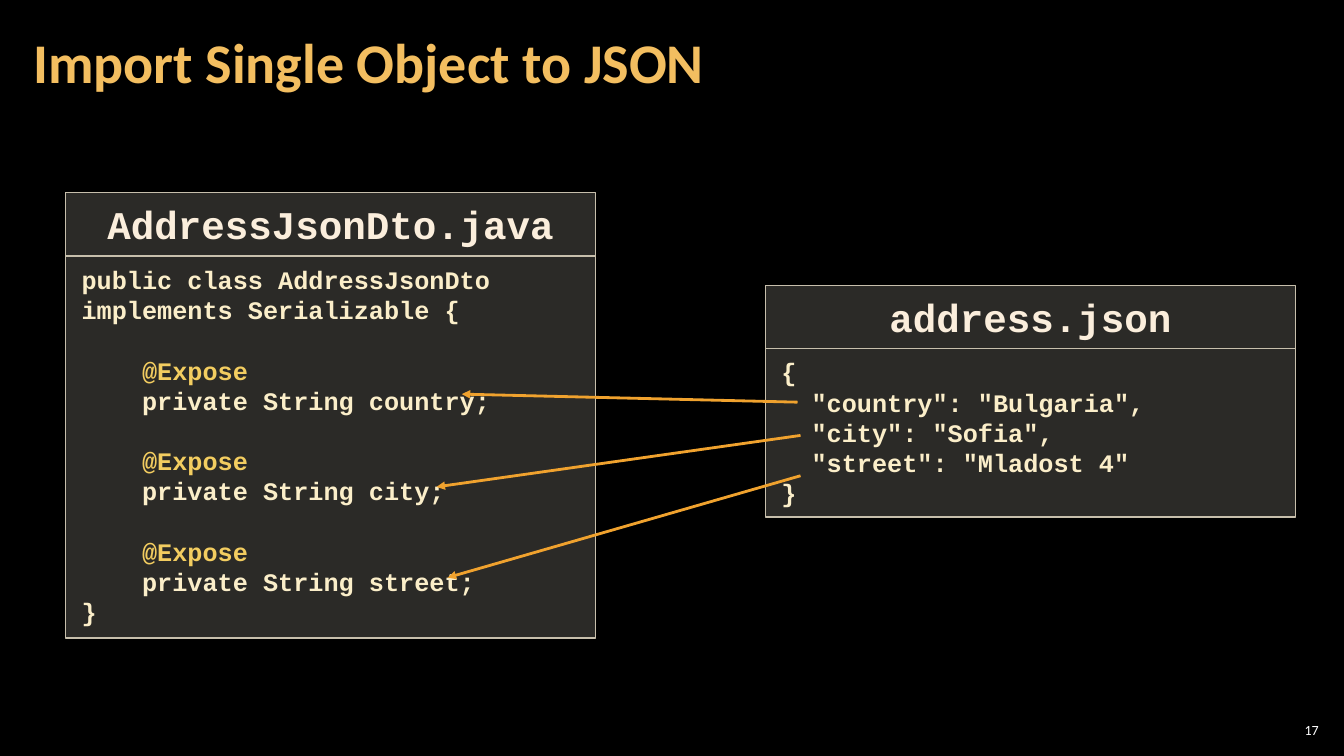
from dataclasses import dataclass

from lxml import etree
from pptx import Presentation
from pptx.dml.color import RGBColor
from pptx.enum.shapes import MSO_CONNECTOR, MSO_SHAPE
from pptx.enum.text import MSO_ANCHOR, MSO_AUTO_SIZE, PP_ALIGN
from pptx.oxml.ns import qn
from pptx.util import Emu, Pt

EMU_PER_PX = 9144  # 100 px to the inch
RECTANGLE = MSO_SHAPE.RECTANGLE
STRAIGHT = MSO_CONNECTOR.STRAIGHT
TOP, MIDDLE = MSO_ANCHOR.TOP, MSO_ANCHOR.MIDDLE
LEFT, CENTER, RIGHT = PP_ALIGN.LEFT, PP_ALIGN.CENTER, PP_ALIGN.RIGHT
NO_AUTOFIT = MSO_AUTO_SIZE.NONE
TITLE_ONLY_LAYOUT = 5

BLACK = RGBColor(0x00, 0x00, 0x00)
WHITE = RGBColor(0xFF, 0xFF, 0xFF)
TITLE_GOLD = RGBColor(0xF3, 0xBE, 0x60)
PANEL_FILL = RGBColor(0xD9, 0xD5, 0xC7)
PANEL_LINE = RGBColor(0xC7, 0xBF, 0xAC)
HEADER_CREAM = RGBColor(0xFB, 0xEE, 0xDC)
CODE_CREAM = RGBColor(0xFB, 0xEE, 0xC9)
ANNOTATION_GOLD = RGBColor(0xF3, 0xCD, 0x60)
ARROW_ORANGE = RGBColor(0xF0, 0xA2, 0x2E)

TEXT_FONT, CODE_FONT = "Calibri", "Courier New"
CODE_LINE_PT = 21.6
CHAR_PX = 15  # width of one code character
HEADER_HEIGHT = 63
PANEL_WIDTH = 526
PANEL_OPACITY = "20000"


@dataclass(frozen=True)
class Line:
    text: str
    indent: int = 0  # characters
    color: RGBColor = CODE_CREAM
    gap: float = 0  # points above


@dataclass(frozen=True)
class CodePanel:
    name: str
    left: int
    top: int
    code_height: int
    lines: tuple[Line, ...]


@dataclass(frozen=True)
class Mapping:
    """An arrow from a JSON key to the field it fills."""
    key: tuple[int, int]
    field: tuple[int, int]


def exposed(field: str) -> tuple[Line, Line]:
    return (Line("@Expose", 4, ANNOTATION_GOLD, CODE_LINE_PT),
            Line(f"private String {field};", 4))


PANELS = (
    CodePanel("AddressJsonDto.java", 65, 191, 379, (
        Line("public class AddressJsonDto implements Serializable {"),
        *exposed("country"), *exposed("city"), *exposed("street"),
        Line("}"))),
    CodePanel("address.json", 759, 283, 167, (
        Line("{"),
        Line('"country": "Bulgaria",', 2),
        Line('"city": "Sofia",', 2),
        Line('"street": "Mladost 4"', 2),
        Line("}"))),
)

MAPPINGS = (
    Mapping((791, 399), (458, 391)),
    Mapping((794, 432), (433, 483)),
    Mapping((794, 472), (444, 573)),
)


def px(length: int) -> Emu:
    return Emu(length * EMU_PER_PX)


def write(shape, lines, *, size, font=TEXT_FONT, bold=False, align=LEFT,
          anchor=TOP, spacing=1.0, inset=(4, 4)) -> None:
    frame = shape.text_frame
    frame.word_wrap = True
    frame.auto_size = NO_AUTOFIT
    frame.vertical_anchor = anchor
    frame.margin_left = frame.margin_right = px(inset[0])
    frame.margin_top = frame.margin_bottom = px(inset[1])
    for index, line in enumerate(lines):
        paragraph = frame.add_paragraph() if index else frame.paragraphs[0]
        paragraph.alignment = align
        paragraph.line_spacing = spacing
        paragraph.space_before = Pt(line.gap)
        if line.indent:
            margin = px(line.indent * CHAR_PX)
            paragraph._p.get_or_add_pPr().set("marL", str(int(margin)))
        run = paragraph.add_run()
        run.text = line.text
        run.font.size = Pt(size)
        run.font.name = font
        run.font.bold = bold
        run.font.color.rgb = line.color


def add_box(slide, left: int, top: int, height: int):
    box = slide.shapes.add_shape(
        RECTANGLE, px(left), px(top), px(PANEL_WIDTH), px(height))
    box.shadow.inherit = False
    box.fill.solid()
    box.fill.fore_color.rgb = PANEL_FILL
    color = box._element.spPr.find(qn("a:solidFill"))[0]
    etree.SubElement(color, qn("a:alpha")).set("val", PANEL_OPACITY)
    box.line.color.rgb = PANEL_LINE
    box.line.width = Pt(1)
    return box


def add_panel(slide, panel: CodePanel) -> None:
    code = add_box(slide, panel.left, panel.top + HEADER_HEIGHT,
                   panel.code_height)
    write(code, panel.lines, size=18, font=CODE_FONT, bold=True,
          inset=(16, 8))
    header = add_box(slide, panel.left, panel.top, HEADER_HEIGHT)
    write(header, [Line(panel.name, color=HEADER_CREAM)], size=28,
          font=CODE_FONT, bold=True, align=CENTER, inset=(16, 8))


def add_mapping(slide, mapping: Mapping) -> None:
    arrow = slide.shapes.add_connector(
        STRAIGHT, *map(px, mapping.key), *map(px, mapping.field))
    arrow.line.color.rgb = ARROW_ORANGE
    arrow.line.width = Pt(2)
    etree.SubElement(arrow.line._get_or_add_ln(),
                     qn("a:tailEnd")).set("type", "triangle")
    etree.SubElement(arrow._element.spPr, qn("a:effectLst"))


def main() -> None:
    deck = Presentation()
    deck.slide_width, deck.slide_height = px(1333), px(750)
    slide = deck.slides.add_slide(deck.slide_layouts[TITLE_ONLY_LAYOUT])
    slide.background.fill.solid()
    slide.background.fill.fore_color.rgb = BLACK

    # Slide number
    number = slide.shapes.add_textbox(px(1265), px(714), px(47), px(21))
    write(number, [Line("17", color=WHITE)], size=10, align=RIGHT,
          anchor=MIDDLE)

    # Title
    title = slide.shapes.title
    title.left, title.top = px(21), px(4)
    title.width, title.height = px(1047), px(121)
    write(title, [Line("Import Single Object to JSON", color=TITLE_GOLD)],
          size=40, bold=True, anchor=MIDDLE, spacing=0.9, inset=(12, 4))

    # Code panels and the arrows between them
    for panel in PANELS:
        add_panel(slide, panel)
    for mapping in MAPPINGS:
        add_mapping(slide, mapping)

    deck.save("out.pptx")


if __name__ == "__main__":
    main()
